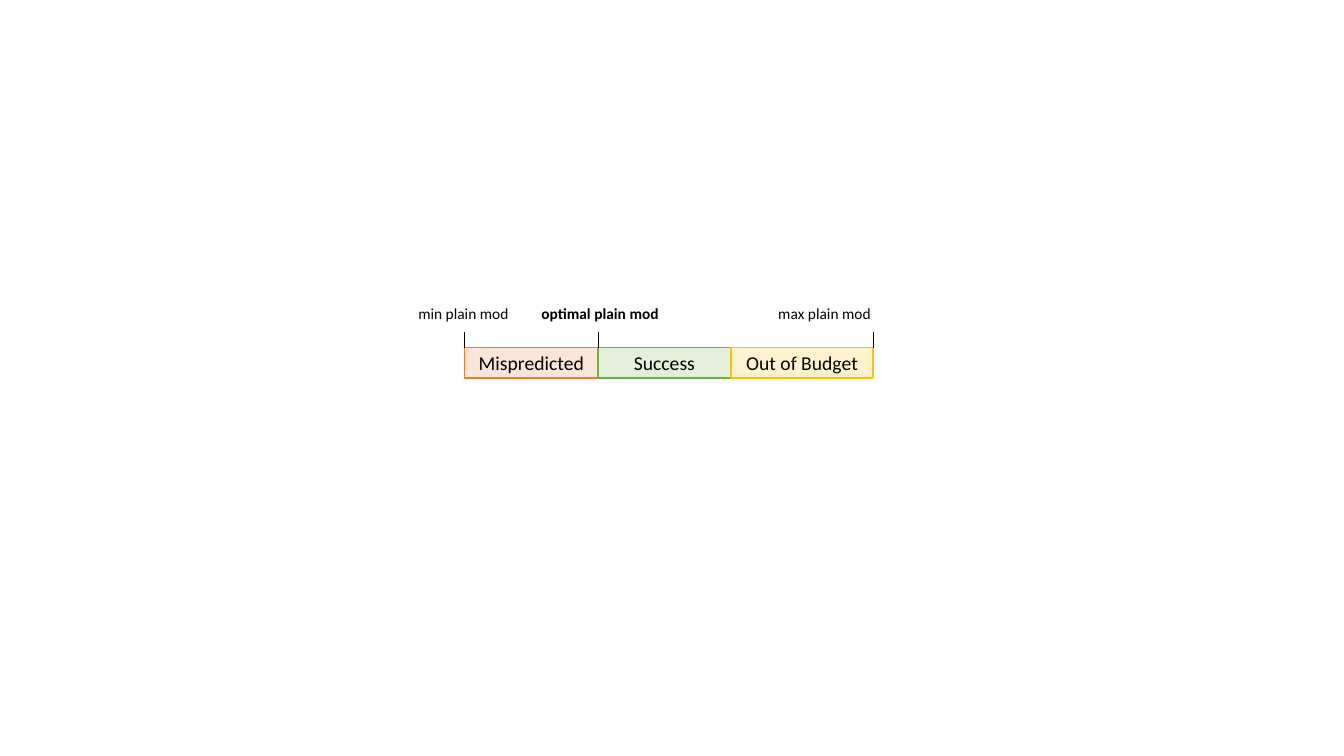
import pptx
import pptx.dml.color
import pptx.enum.shapes
import pptx.enum.text
import pptx.oxml.ns
import pptx.util
import lxml.etree

Inches = pptx.util.Inches
ALIGN = pptx.enum.text.PP_ALIGN
ANCHOR = pptx.enum.text.MSO_ANCHOR

# Label, width, fill, outline
ZONES = [
    ("Mispredicted", 1.32, "FBE5D6", "ED7D31"),
    ("Success", 1.32, "E2F0D9", "70AD47"),
    ("Out of Budget", 1.41, "FFF2CC", "FFC000"),
]
# Label, zone edge, label offset from the edge, label width, bold
MARKS = [
    ("min plain mod", 0, -0.56, 1.32, False),
    ("optimal plain mod", 1, -0.66, 1.81, True),
    ("max plain mod", 3, -1.04, 1.23, False),
]
TICK_HEIGHT = 0.16
LABEL_RISE = 0.48
LABEL_HEIGHT = 0.29


def color(hex_value):
    return pptx.dml.color.RGBColor.from_string(hex_value)


def write(shape, text, align, anchor, size, bold=False):
    frame = shape.text_frame
    frame.word_wrap = True
    frame.vertical_anchor = anchor
    para = frame.paragraphs[0]
    para.alignment = align
    span = para.add_run()
    span.text = text
    formats = {"name": "Calibri", "size": pptx.util.Pt(size), "bold": bold}
    for key, value in formats.items():
        setattr(span.font, key, value)
    span.font.color.rgb = color("000000")


def set_line(shape, hex_value, width):
    shape.line.color.rgb = color(hex_value)
    shape.line.width = pptx.util.Pt(width)


def add_zones(page, left, top, height):
    """Draw the coloured bar and return the x position of every zone edge."""
    edges = [left]
    for text, width, fill, outline in ZONES:
        box = page.shapes.add_shape(
            pptx.enum.shapes.MSO_SHAPE.RECTANGLE,
            Inches(edges[-1]), Inches(top), Inches(width), Inches(height))
        box.shadow.inherit = False
        box.fill.solid()
        box.fill.fore_color.rgb = color(fill)
        set_line(box, outline, 1)
        write(box, text, ALIGN.CENTER, ANCHOR.MIDDLE, 14)
        edges.append(edges[-1] + width)
    return edges


def add_marks(page, edges, top):
    """Draw a tick and its label above the chosen zone edges."""
    for text, edge, offset, width, bold in MARKS:
        x = edges[edge]
        tick = page.shapes.add_connector(
            pptx.enum.shapes.MSO_CONNECTOR.STRAIGHT,
            Inches(x), Inches(top - TICK_HEIGHT), Inches(x), Inches(top))
        set_line(tick, "000000", 0.5)
        properties = tick.element.find(pptx.oxml.ns.qn("p:spPr"))
        lxml.etree.SubElement(properties, pptx.oxml.ns.qn("a:effectLst"))
        label = page.shapes.add_textbox(
            Inches(x + offset), Inches(top - LABEL_RISE),
            Inches(width), Inches(LABEL_HEIGHT))
        write(label, text, ALIGN.LEFT, ANCHOR.TOP, 11, bold)


def main():
    deck = pptx.Presentation()
    deck.slide_width = Inches(13.33)
    deck.slide_height = Inches(7.5)
    page = deck.slides.add_slide(deck.slide_layouts[6])
    bar_top = 3.45
    edges = add_zones(page, 4.61, bar_top, 0.3)
    add_marks(page, edges, bar_top)
    deck.save("out.pptx")


if __name__ == "__main__":
    main()
